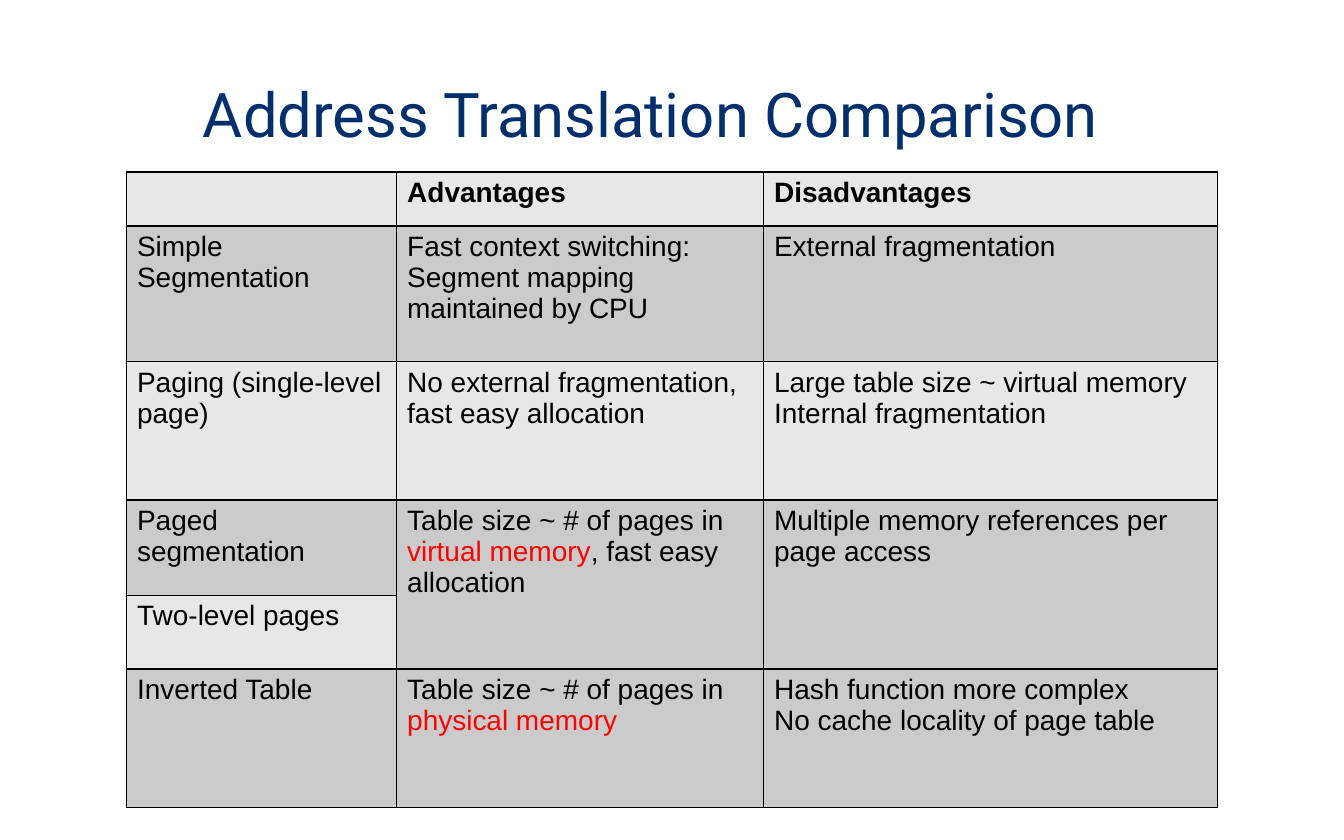
"""Build a slide with a table comparing address translation schemes."""
from dataclasses import dataclass

from lxml import etree
from pptx import Presentation
from pptx import util as u
from pptx.dml.color import RGBColor
from pptx.enum import text
from pptx.oxml import ns


@dataclass(frozen=True)
class Theme:
    navy: str = "002F6C"
    ink: str = "000000"
    red: str = "FF0000"
    bands: tuple = ("E7E7E7", "CBCBCB")
    head: int = 33
    body: int = 15
    rule: int = 1


def style(font, name, size, color, bold=False):
    font.name, font.size, font.bold = name, u.Pt(size), bold
    font.color.rgb = RGBColor.from_string(color)


def border(cell):
    props = cell._tc.get_or_add_tcPr()
    for spot, side in enumerate(("lnL", "lnR", "lnT", "lnB")):
        line = etree.Element(ns.qn("a:" + side), w=str(u.Pt(theme.rule)))
        fill = etree.SubElement(line, ns.qn("a:solidFill"))
        etree.SubElement(fill, ns.qn("a:srgbClr"), val=theme.ink)
        props.insert(spot, line)


theme = Theme()
cols = (2.01, 2.73, 3.38)
tall = (0.4, 1.01, 1.03, 0.71, 0.55, 1.03)
rows = (
    ("", "Advantages", "Disadvantages"),
    ("Simple\vSegmentation",
     "Fast context switching: Segment mapping maintained by CPU",
     "External fragmentation"),
    ("Paging (single-level page)",
     "No external fragmentation, fast easy allocation",
     "Large table size ~ virtual memory\nInternal fragmentation"),
    ("Paged segmentation",
     "Table size ~ # of pages in |virtual memory|, fast easy allocation",
     "Multiple memory references per page access"),
    ("Two-level pages", "", ""),
    ("Inverted Table",
     "Table size ~ # of pages in |physical memory",
     "Hash function more complex\nNo cache locality of page table"),
)

deck = Presentation()
deck.slide_width, deck.slide_height = u.Inches(10), u.Inches(6.25)
slide = deck.slides.add_slide(deck.slide_layouts[5])

title = slide.shapes.title
title.left, title.top = u.Inches(1.41), u.Inches(0.27)
title.width, title.height = u.Inches(7.19), u.Inches(1.21)
frame = title.text_frame
frame.text = "Address Translation Comparison"
frame.vertical_anchor = text.MSO_ANCHOR.MIDDLE
para = frame.paragraphs[0]
para.alignment = text.PP_ALIGN.LEFT
para.line_spacing = 0.9
style(para.font, "Roboto", theme.head, theme.navy)

table = slide.shapes.add_table(
    len(rows), len(cols), u.Inches(0.94), u.Inches(1.28),
    u.Inches(sum(cols)), u.Inches(sum(tall))).table
table.first_row = table.horz_banding = False
for col, width in zip(table.columns, cols):
    col.width = u.Inches(width)
for row, height in zip(table.rows, tall):
    row.height = u.Inches(height)
for c in (1, 2):
    table.cell(3, c).merge(table.cell(4, c))

for r, row in enumerate(rows):
    for c, words in enumerate(row):
        cell = table.cell(r, c)
        cell.margin_left = cell.margin_right = u.Inches(0.08)
        cell.margin_top = cell.margin_bottom = u.Inches(0.04)
        cell.fill.solid()
        origin = 3 if cell.is_spanned else r
        cell.fill.fore_color.rgb = RGBColor.from_string(theme.bands[origin % 2])
        border(cell)
        for n, line in enumerate(words.split("\n")):
            frame = cell.text_frame
            para = frame.add_paragraph() if n else frame.paragraphs[0]
            first, *rest = line.split("|")
            para.text = first
            style(para.font, "Arial", theme.body, theme.ink, r == 0)
            for k, part in enumerate(rest):
                run = para.add_run()
                run.text = part
                if k % 2 == 0:
                    run.font.color.rgb = RGBColor.from_string(theme.red)

deck.save("out.pptx")
